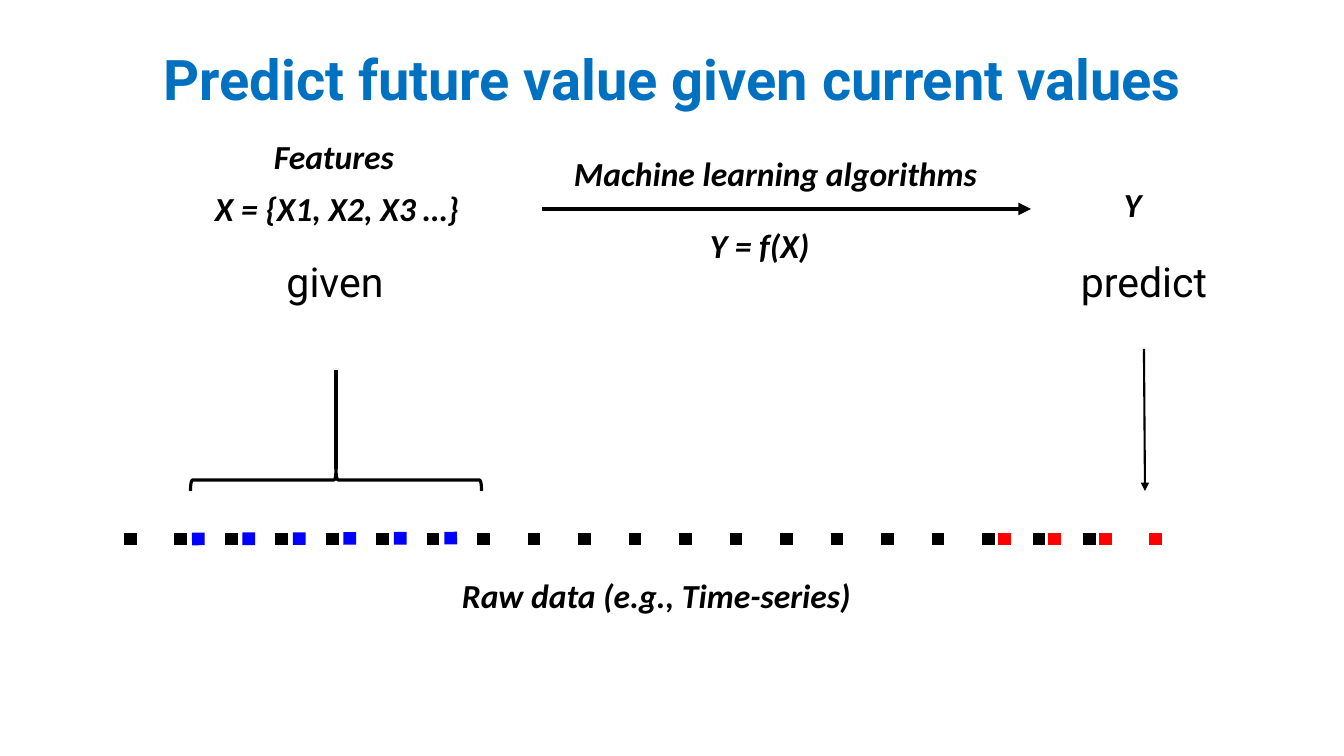
from dataclasses import dataclass

from lxml import etree
from pptx import Presentation
from pptx.dml.color import RGBColor
from pptx.enum.shapes import MSO_CONNECTOR, MSO_SHAPE
from pptx.enum.text import MSO_ANCHOR, PP_ALIGN
from pptx.oxml.ns import qn
from pptx.util import Emu, Pt

STRAIGHT = MSO_CONNECTOR.STRAIGHT
BRACE = MSO_SHAPE.LEFT_BRACE
TOP, MIDDLE = MSO_ANCHOR.TOP, MSO_ANCHOR.MIDDLE
LEFT, CENTER = PP_ALIGN.LEFT, PP_ALIGN.CENTER
SCALE = 914400 / 100.8


@dataclass(frozen=True)
class Theme:
    title: str = "0070C0"
    ink: str = "000000"
    past: str = "0000FF"
    future: str = "FF0000"
    head: str = "Roboto"
    body: str = "Calibri"
    large: float = 40
    medium: float = 29.3
    small: float = 24
    dots: float = 9
    bold: float = 3
    line: float = 2.25
    thin: float = 1.5


THEME = Theme()


def px(count):
    return Emu(round(count * SCALE))


def put_text(slide, box, text, size, font, color=THEME.ink, bold=False,
             slant=False, align=LEFT, anchor=TOP, pad=None):
    frame = slide.shapes.add_textbox(*map(px, box)).text_frame
    frame.word_wrap = True
    frame.vertical_anchor = anchor
    if pad is not None:
        frame.margin_left = frame.margin_right = px(pad)
        frame.margin_top = frame.margin_bottom = px(pad)
    para = frame.paragraphs[0]
    para.text = text
    para.alignment = align
    para.font.size = Pt(size)
    para.font.name = font
    para.font.bold = bold
    para.font.italic = slant
    para.font.color.rgb = RGBColor.from_string(color)


def put_note(slide, box, text):
    put_text(slide, box, text, THEME.small, THEME.body, bold=True, slant=True)


def put_word(slide, box, text):
    put_text(slide, box, text, THEME.medium, THEME.head,
             align=CENTER, anchor=MIDDLE, pad=13)


def put_line(slide, ends, width, color=THEME.ink, dash=None, arrow=False):
    link = slide.shapes.add_connector(STRAIGHT, *map(px, ends))
    link.line.width = Pt(width)
    link.line.color.rgb = RGBColor.from_string(color)
    edge = link.line._get_or_add_ln()
    if dash:
        etree.SubElement(edge, qn("a:prstDash")).set("val", dash)
    if arrow:
        etree.SubElement(edge, qn("a:tailEnd")).set("type", "triangle")
    etree.SubElement(link._element.spPr, qn("a:effectLst"))


def draw_title(slide, box):
    put_text(slide, box, "Predict future value given current values",
             THEME.large, THEME.head, THEME.title, bold=True,
             align=CENTER, pad=13)


def draw_series(slide, box):
    x, y, wide, _ = box
    put_line(slide, (x + 874, y, x + 1070, y), THEME.dots, THEME.future, "dot")
    put_line(slide, (x, y, x + wide, y), THEME.dots, dash="dot")
    put_line(slide, (x + 68, y, x + 356, y - 1), THEME.dots, THEME.past, "dot")
    put_note(slide, (x + 328, y + 31, 409, 50), "Raw data (e.g., Time-series)")


def draw_given(slide, box):
    x, y, wide, high = box
    mid = x + wide // 2
    put_note(slide, (x + 59, y, 142, 50), "Features")
    put_note(slide, (x, y + 52, wide, 50), "X = {X1, X2, X3 …}")
    put_word(slide, (x + 59, y + 96, 142, 109), "given")
    thick, span = 22, 291
    stem = x + 131
    brace = slide.shapes.add_shape(
        BRACE, px(stem - thick / 2), px(y + high - (span + thick) / 2),
        px(thick), px(span))
    brace.rotation = 90
    brace.adjustments[0] = 0.083
    brace.shadow.inherit = False
    brace.fill.background()
    brace.line.width = Pt(THEME.line)
    brace.line.color.rgb = RGBColor.from_string(THEME.ink)
    put_line(slide, (stem, y + high - thick, stem, y + 239), THEME.line)


def draw_model(slide, box):
    x, y, wide, _ = box
    put_note(slide, (x + 22, y, 495, 50), "Machine learning algorithms")
    put_line(slide, (x, y + 61, x + wide, y + 61), THEME.bold, arrow=True)
    put_note(slide, (x + 158, y + 72, 132, 50), "Y = f(X)")


def draw_target(slide, box):
    x, y, wide, high = box
    mid = x + wide // 2
    put_note(slide, (x + 49, y, 59, 50), "Y")
    put_word(slide, (x, y + 48, wide, 109), "predict")
    put_line(slide, (mid, y + 170, mid + 1, y + high), THEME.thin, arrow=True)


def main():
    deck = Presentation()
    deck.slide_width, deck.slide_height = px(1344), px(756)
    slide = deck.slides.add_slide(deck.slide_layouts[6])
    draw_title(slide, (0, 32, 1344, 125))
    draw_series(slide, (124, 539, 995, 81))
    draw_given(slide, (205, 131, 328, 360))
    draw_model(slide, (542, 148, 489, 122))
    draw_target(slide, (1065, 179, 158, 312))
    deck.save("out.pptx")


if __name__ == "__main__":
    main()
